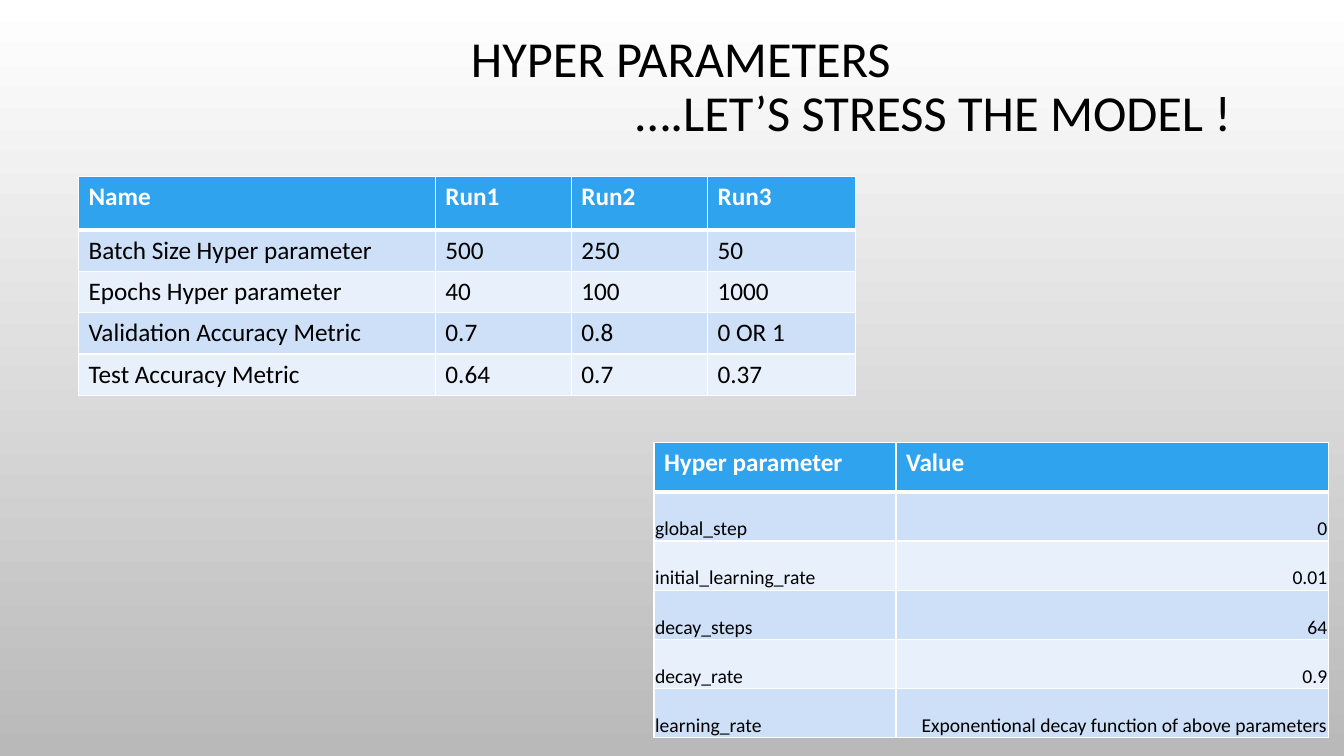
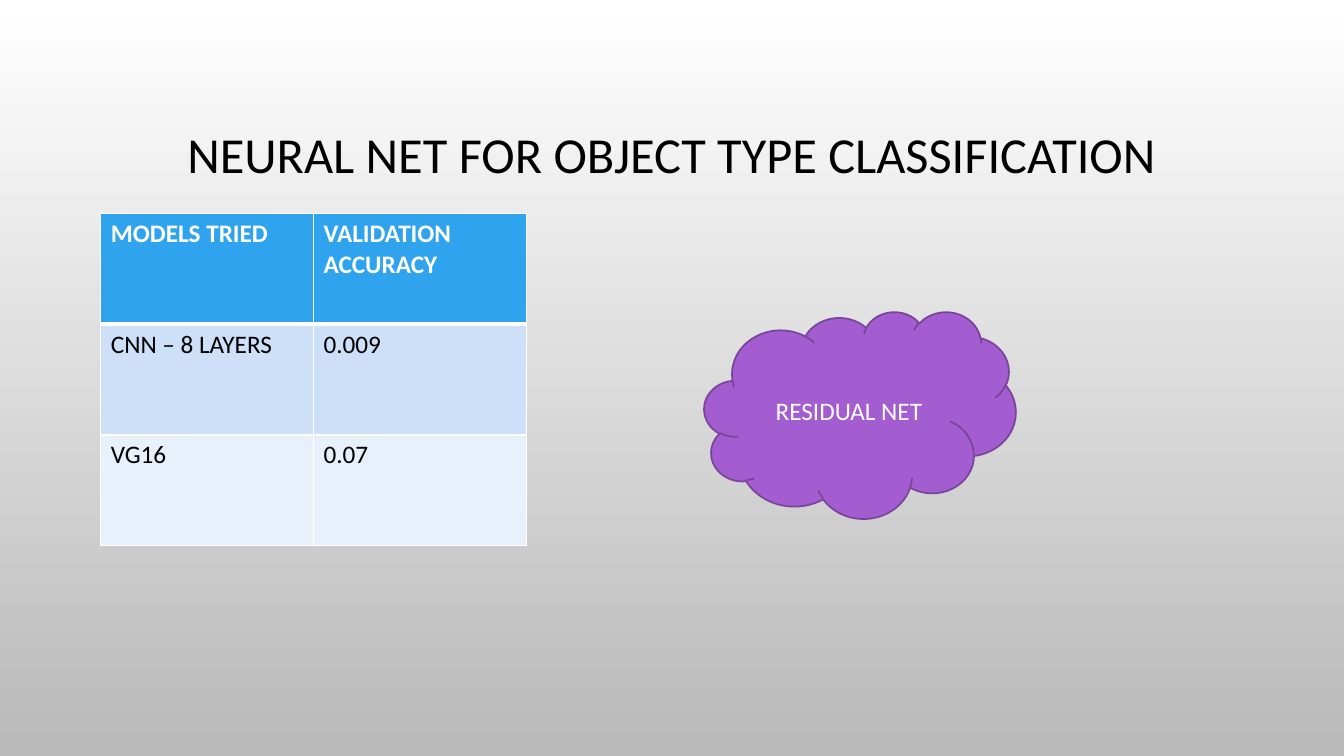
from lxml import etree
from pptx import Presentation
from pptx.dml.color import RGBColor
from pptx.enum.shapes import MSO_SHAPE as SHAPE
from pptx.enum.text import MSO_ANCHOR as ANCHOR, PP_ALIGN as ALIGN
from pptx.oxml.ns import qn
from pptx.util import Cm, Pt

# Shared look
FONT = "Calibri"
WHITE, BLACK, GREY = "FFFFFF", "000000", "B9B9B9"
HEADER, BANDS = "2FA3EE", ("CDE0F8", "E8F0FC")
PURPLE, PURPLE_EDGE = "A35DD1", "79459B"
TITLE_W, TITLE_H = 28.78, 4.45

# Content: lengths in cm; title lines are (text, indent), None centres the line
SLIDES = [
    {
        "title": {"at": (2.77, 0), "lines": [
            ("HYPER PARAMETERS", None),
            ("….LET’S STRESS THE MODEL !", 13)]},
        "tables": [
            {"at": (1.98, 4.45), "cols": (8.99, 3.43, 3.43, 3.73),
             "header_h": 1.35, "row_h": 1.04,
             "rows": [
                 ("Name", "Run1", "Run2", "Run3"),
                 ("Batch Size Hyper parameter", "500", "250", "50"),
                 ("Epochs Hyper parameter", "40", "100", "1000"),
                 ("Validation Accuracy Metric", "0.7", "0.8", "0 OR 1"),
                 ("Test Accuracy Metric", "0.64", "0.7", "0.37")]},
            {"at": (16.48, 11.15), "cols": (6.1, 10.9),
             "header_h": 1.24, "row_h": 1.24, "sheet": True,
             "rows": [
                 ("Hyper parameter", "Value"),
                 ("global_step", "0"),
                 ("initial_learning_rate", "0.01"),
                 ("decay_steps", "64"),
                 ("decay_rate", "0.9"),
                 ("learning_rate",
                  "Exponentional decay function of above parameters")]},
        ],
    },
    {
        "title": {"at": (2.54, 1.73), "lines": [
            ("NEURAL NET FOR OBJECT TYPE CLASSIFICATION", None)]},
        "tables": [
            {"at": (2.54, 5.38), "cols": (5.36, 5.36),
             "header_h": 2.79, "row_h": 2.79,
             "rows": [
                 ("MODELS TRIED", "VALIDATION ACCURACY"),
                 ("CNN – 8 LAYERS", "0.009"),
                 ("VG16", "0.07")]},
        ],
        "cloud": {"at": (17.75, 7.85, 7.85, 5.21), "text": "RESIDUAL NET"},
    },
]


def rgb(color):
    return RGBColor.from_string(color)


def add_run(p, text, size, color, bold=False):
    r = p.add_run()
    r.text = text
    r.font.name, r.font.size, r.font.bold = FONT, Pt(size), bold
    r.font.color.rgb = rgb(color)


def set_background(master):
    fill = master.background.fill
    fill.gradient()
    fill.gradient_angle = 270
    for stop, color in zip(fill.gradient_stops, (WHITE, GREY)):
        stop.color.rgb = rgb(color)


def add_title(s, at, lines):
    box = s.shapes.add_textbox(*map(Cm, (*at, TITLE_W, TITLE_H)))
    tf = box.text_frame
    tf.word_wrap, tf.vertical_anchor = True, ANCHOR.MIDDLE
    for i, (text, indent) in enumerate(lines):
        p = tf.add_paragraph() if i else tf.paragraphs[0]
        p.line_spacing = 0.9
        if indent is None:
            p.alignment = ALIGN.CENTER
        else:
            p.alignment = ALIGN.LEFT
            p._p.get_or_add_pPr().set("marL", str(Cm(indent)))
        add_run(p, text, 36, BLACK)


def set_borders(cell, top, bottom):
    tc_pr = cell._tc.get_or_add_tcPr()
    for tag, width in (("lnL", 1), ("lnR", 1), ("lnT", top), ("lnB", bottom)):
        ln = etree.SubElement(tc_pr, qn(f"a:{tag}"), w=str(Pt(width)))
        fill = etree.SubElement(ln, qn("a:solidFill"))
        etree.SubElement(fill, qn("a:srgbClr"), val=WHITE)


def add_table(s, at, cols, header_h, row_h, rows, sheet=False):
    height = header_h + row_h * (len(rows) - 1)
    table = s.shapes.add_table(
        len(rows), len(cols), *map(Cm, (*at, sum(cols), height))).table
    for column, width in zip(table.columns, cols):
        column.width = Cm(width)
    for i, values in enumerate(rows):
        table.rows[i].height = Cm(row_h if i else header_h)
        for j, text in enumerate(values):
            cell = table.cell(i, j)
            # A heavier rule separates the header from the body
            set_borders(cell, 3 if i == 1 else 1, 1 if i else 3)
            cell.fill.solid()
            cell.fill.fore_color.rgb = rgb(BANDS[(i - 1) % 2] if i else HEADER)
            p = cell.text_frame.paragraphs[0]
            tight = sheet and i > 0
            if tight:
                cell.vertical_anchor = ANCHOR.BOTTOM
                cell.margin_left = cell.margin_right = cell.margin_top = Cm(0.03)
                cell.margin_bottom = 0
                p.alignment = ALIGN.RIGHT if j else ALIGN.LEFT
            add_run(p, text, 14 if tight else 18, BLACK if i else WHITE, i == 0)


def add_cloud(s, at, text):
    sp = s.shapes.add_shape(SHAPE.CLOUD, *map(Cm, at))
    sp.shadow.inherit = False
    sp.fill.solid()
    sp.fill.fore_color.rgb = rgb(PURPLE)
    sp.line.color.rgb = rgb(PURPLE_EDGE)
    sp.line.width = Pt(1.25)
    tf = sp.text_frame
    tf.word_wrap, tf.vertical_anchor = True, ANCHOR.MIDDLE
    tf.paragraphs[0].alignment = ALIGN.CENTER
    add_run(tf.paragraphs[0], text, 18, WHITE)


def main():
    prs = Presentation()
    prs.slide_width, prs.slide_height = Cm(33.87), Cm(19.05)
    set_background(prs.slide_master)
    for content in SLIDES:
        s = prs.slides.add_slide(prs.slide_layouts[6])
        add_title(s, **content["title"])
        for table in content["tables"]:
            add_table(s, **table)
        if "cloud" in content:
            add_cloud(s, **content["cloud"])
    prs.save("out.pptx")


if __name__ == "__main__":
    main()
